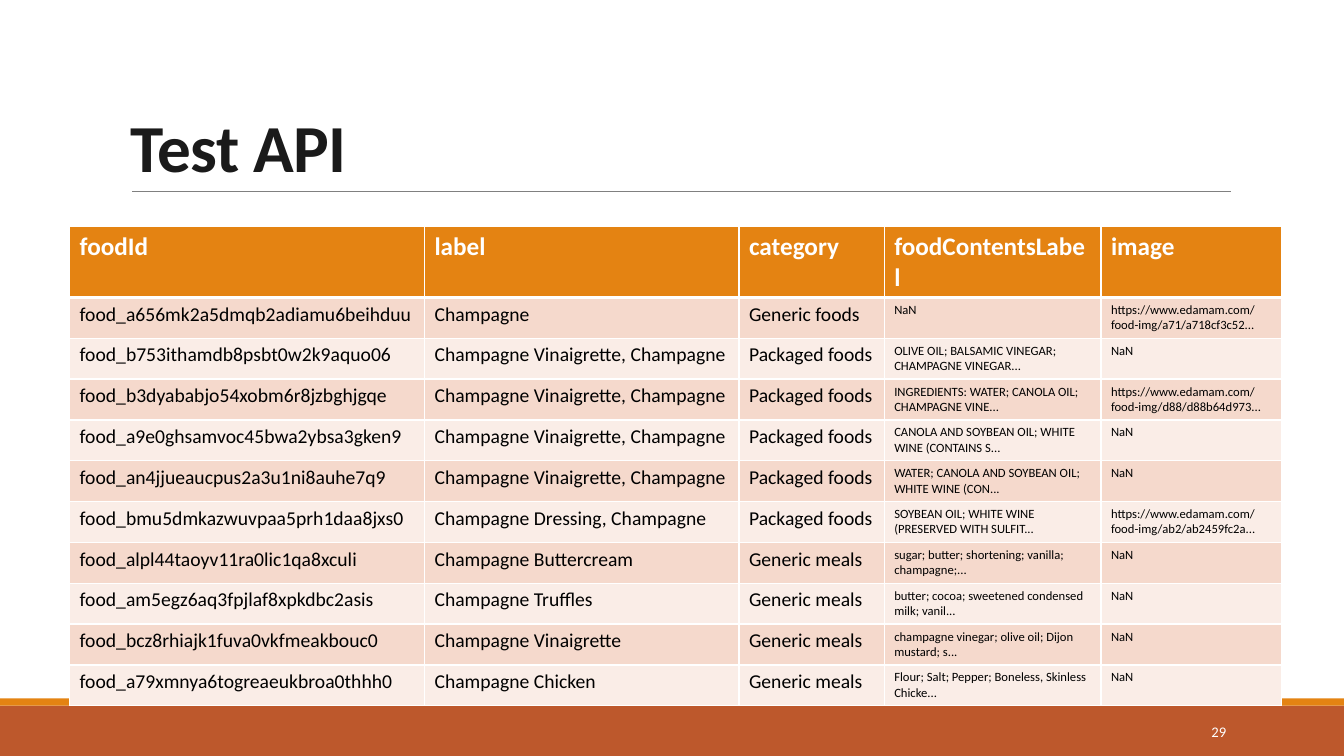
from dataclasses import astuple, dataclass
from typing import Any

from lxml.etree import SubElement
from pptx import Presentation
from pptx.dml.color import RGBColor as Rgb
from pptx.enum.shapes import MSO_CONNECTOR as Link, MSO_SHAPE as Kind
from pptx.enum.text import MSO_ANCHOR as Anchor, PP_ALIGN as Align
from pptx.oxml.ns import qn
from pptx.util import Pt

SCALE = 9144
WHITE = Rgb(0xFF, 0xFF, 0xFF)
BLACK = Rgb(0x00, 0x00, 0x00)
INK = Rgb(0x1A, 0x1A, 0x1A)
GRAY = Rgb(0x80, 0x80, 0x80)
RUST = Rgb(0xBD, 0x58, 0x2C)
ORANGE = Rgb(0xE4, 0x83, 0x12)
BANDS = (Rgb(0xFA, 0xED, 0xE7), Rgb(0xF5, 0xD9, 0xCC))
WIDTHS = (352, 312, 144, 215, 179)
VINEGAR = "Champagne Vinaigrette, Champagne"
PACKED = "Packaged foods"
MEALS = "Generic meals"
SITE = "https://www.edamam.com/food-img/"


@dataclass
class Bar:
    """A filled strip across the foot of the slide."""
    top: int
    height: int
    color: Rgb


@dataclass
class Label:
    """A text box with its place and format."""
    text: str
    box: tuple[int, int, int, int]
    anchor: Anchor
    font: dict[str, Any]
    color: Rgb
    para: dict[str, Any]
    track: int = 0


@dataclass
class Food:
    """One row of the food table."""
    code: str
    label: str
    group: str
    parts: str
    image: str = "NaN"


BARS = [Bar(700, 50, RUST), Bar(693, 7, ORANGE)]
LABELS = [
    Label("Test API", (120, 31, 1100, 159), Anchor.BOTTOM,
          {"size": Pt(48), "bold": True}, INK, {"line_spacing": 0.85}, -50),
    Label("29", (1083, 706, 143, 40), Anchor.MIDDLE,
          {"size": Pt(10.5), "bold": False}, WHITE, {"alignment": Align.RIGHT}),
]
FOODS = [
    Food("foodId", "label", "category", "foodContentsLabel", "image"),
    Food("food_a656mk2a5dmqb2adiamu6beihduu", "Champagne", "Generic foods",
         "NaN", SITE + "a71/a718cf3c52..."),
    Food("food_b753ithamdb8psbt0w2k9aquo06", VINEGAR, PACKED,
         "OLIVE OIL; BALSAMIC VINEGAR; CHAMPAGNE VINEGAR..."),
    Food("food_b3dyababjo54xobm6r8jzbghjgqe", VINEGAR, PACKED,
         "INGREDIENTS: WATER; CANOLA OIL; CHAMPAGNE VINE...",
         SITE + "d88/d88b64d973..."),
    Food("food_a9e0ghsamvoc45bwa2ybsa3gken9", VINEGAR, PACKED,
         "CANOLA AND SOYBEAN OIL; WHITE WINE (CONTAINS S..."),
    Food("food_an4jjueaucpus2a3u1ni8auhe7q9", VINEGAR, PACKED,
         "WATER; CANOLA AND SOYBEAN OIL; WHITE WINE (CON..."),
    Food("food_bmu5dmkazwuvpaa5prh1daa8jxs0", "Champagne Dressing, Champagne",
         PACKED, "SOYBEAN OIL; WHITE WINE (PRESERVED WITH SULFIT...",
         SITE + "ab2/ab2459fc2a..."),
    Food("food_alpl44taoyv11ra0lic1qa8xculi", "Champagne Buttercream", MEALS,
         "sugar; butter; shortening; vanilla; champagne;..."),
    Food("food_am5egz6aq3fpjlaf8xpkdbc2asis", "Champagne Truffles", MEALS,
         "butter; cocoa; sweetened condensed milk; vanil..."),
    Food("food_bcz8rhiajk1fuva0vkfmeakbouc0", "Champagne Vinaigrette", MEALS,
         "champagne vinegar; olive oil; Dijon mustard; s..."),
    Food("food_a79xmnya6togreaeukbroa0thhh0", "Champagne Chicken", MEALS,
         "Flour; Salt; Pepper; Boneless, Skinless Chicke..."),
]


def px(*vals: int) -> list[int]:
    """Turn px lengths into EMU."""
    return [val * SCALE for val in vals]


def apply(target: Any, form: dict[str, Any]) -> None:
    """Set each format value on the target."""
    for name, value in form.items():
        setattr(target, name, value)


def write(frame: Any, text: str, font: dict[str, Any], color: Rgb) -> Any:
    """Put one run of text in the frame and return it."""
    run = frame.paragraphs[0].add_run()
    run.text = text
    apply(run.font, {"name": "Calibri", **font})
    run.font.color.rgb = color
    return run


def draw_bar(slide: Any, bar: Bar) -> None:
    """Draw one strip over the full width."""
    shape = slide.shapes.add_shape(Kind.RECTANGLE, *px(0, bar.top, 1333, bar.height))
    shape.shadow.inherit = False
    shape.fill.solid()
    shape.fill.fore_color.rgb = bar.color
    shape.line.fill.background()


def draw_rule(slide: Any) -> None:
    """Draw the thin line below the title."""
    rule = slide.shapes.add_connector(Link.STRAIGHT, *px(131, 190, 1221, 190))
    rule.line.color.rgb = GRAY
    rule.line.width = Pt(0.5)
    SubElement(rule._element.spPr, qn("a:effectLst"))


def draw_label(slide: Any, label: Label) -> None:
    """Draw one text box."""
    frame = slide.shapes.add_textbox(*px(*label.box)).text_frame
    apply(frame, {"word_wrap": True, "vertical_anchor": label.anchor})
    apply(frame.paragraphs[0], label.para)
    run = write(frame, label.text, label.font, label.color)
    if label.track:
        run._r.get_or_add_rPr().set("spc", str(label.track))


def edge(cell: Any, row: int) -> None:
    """Give a cell white borders, thick below the header."""
    thick = {0: "lnB", 1: "lnT"}.get(row)
    for side in ("lnL", "lnR", "lnT", "lnB"):
        width = Pt(3 if side == thick else 1)
        line = SubElement(cell._tc.get_or_add_tcPr(), qn(f"a:{side}"), w=str(width))
        fill = SubElement(line, qn("a:solidFill"))
        SubElement(fill, qn("a:srgbClr"), val=str(WHITE))


def draw_table(slide: Any) -> None:
    """Draw the food table."""
    size = len(FOODS), len(WIDTHS)
    table = slide.shapes.add_table(*size, *px(69, 225, sum(WIDTHS), 446)).table
    for col, width in zip(table.columns, px(*WIDTHS)):
        col.width = width
    for row, food in enumerate(FOODS):
        head = row == 0
        for col, text in enumerate(astuple(food)):
            cell = table.cell(row, col)
            edge(cell, row)
            cell.fill.solid()
            cell.fill.fore_color.rgb = ORANGE if head else BANDS[row % 2]
            size = 18 if head else 14 if col < 3 else 9
            font = {"size": Pt(size), "bold": head}
            write(cell.text_frame, text, font, WHITE if head else BLACK)


def main() -> None:
    """Build the slide and save it."""
    deck = Presentation()
    deck.slide_width, deck.slide_height = px(1333, 750)
    slide = deck.slides.add_slide(deck.slide_layouts[6])
    for bar in BARS:
        draw_bar(slide, bar)
    draw_rule(slide)
    for label in LABELS:
        draw_label(slide, label)
    draw_table(slide)
    deck.save("out.pptx")


if __name__ == "__main__":
    main()
